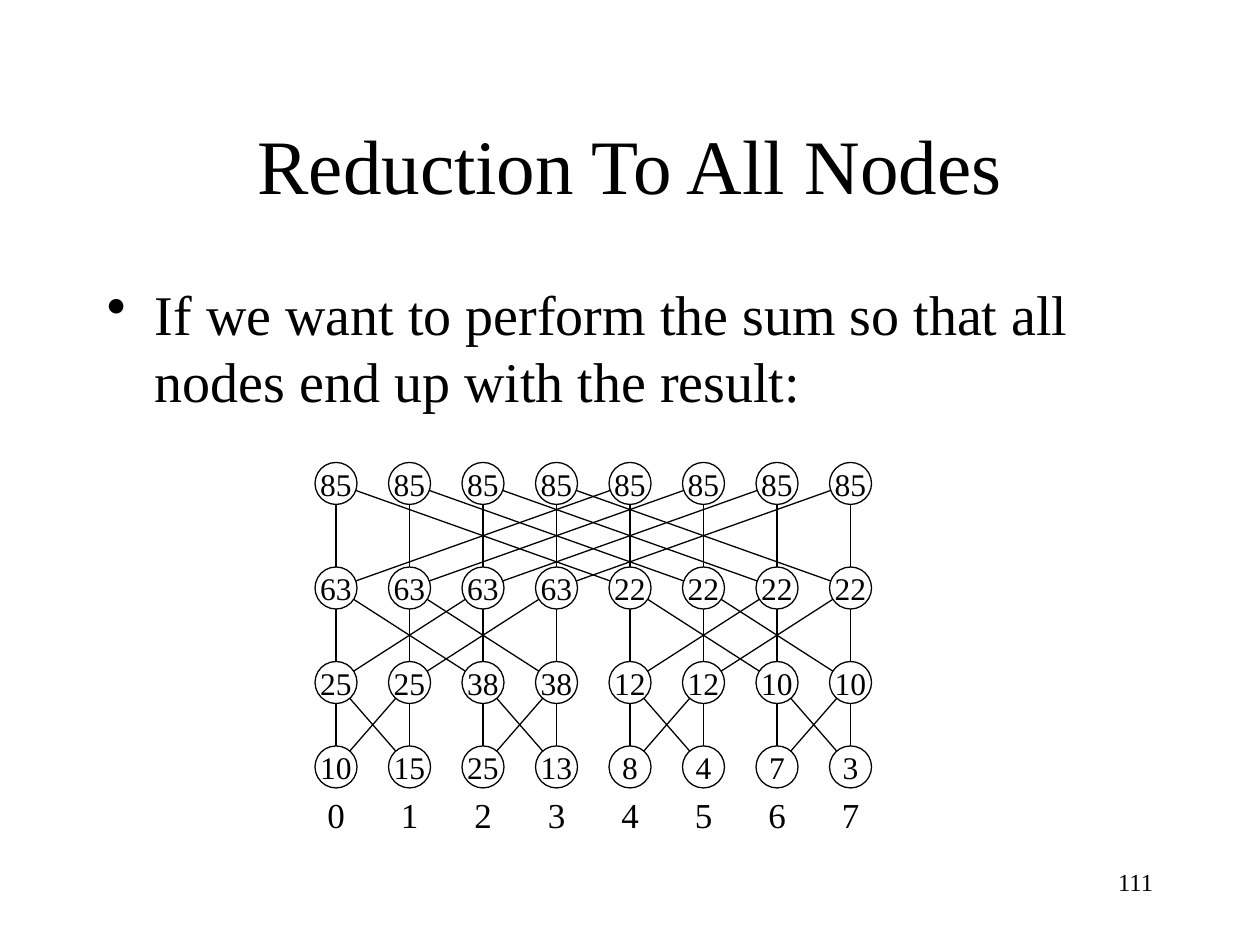
from dataclasses import dataclass

from lxml import etree
from pptx import Presentation, util as u
from pptx.dml.color import RGBColor
from pptx.enum import shapes, text
from pptx.oxml import ns


@dataclass(frozen=True)
class Theme:
    font: str = "Times New Roman"
    ink: RGBColor = RGBColor(0, 0, 0)
    paper: RGBColor = RGBColor(255, 255, 255)
    line: u.Pt = u.Pt(0.75)
    title: u.Pt = u.Pt(44)
    body: u.Pt = u.Pt(32)
    label: u.Pt = u.Pt(20)
    node: u.Pt = u.Pt(18)
    number: u.Pt = u.Pt(14)


@dataclass(frozen=True)
class Stage:
    y: float
    values: tuple[int, ...]
    stride: int = 0


THEME = Theme()
LEFT, PITCH, SIZE = 2.5, 7 / 12, 1 / 3
LABEL_TOP = 6.25
STAGES = [
    Stage(3.67, (85,) * 8, 4),
    Stage(4.5, (63,) * 4 + (22,) * 4, 2),
    Stage(5.25, (25, 25, 38, 38, 12, 12, 10, 10), 1),
    Stage(5.92, (10, 15, 25, 13, 8, 4, 7, 3)),
]


def write(sp, content: str, size: u.Pt, align=text.PP_ALIGN.LEFT,
          anchor=text.MSO_ANCHOR.TOP, wrap: bool = True):
    tf = sp.text_frame
    tf.text = content
    tf.word_wrap = wrap
    tf.vertical_anchor = anchor
    p = tf.paragraphs[0]
    p.alignment = align
    font = p.runs[0].font
    font.name, font.size = THEME.font, size
    font.color.rgb = THEME.ink
    return p


def add_text(s, x: float, y: float, w: float, h: float, content: str, size: u.Pt, **style):
    sp = s.shapes.add_textbox(u.Inches(x), u.Inches(y), u.Inches(w), u.Inches(h))
    return write(sp, content, size, **style)


def add_bullet(p) -> None:
    pPr = p._p.get_or_add_pPr()
    pPr.set("marL", str(u.Inches(0.38)))
    pPr.set("indent", str(u.Inches(-0.38)))
    before = etree.SubElement(pPr, ns.qn("a:spcBef"))
    etree.SubElement(before, ns.qn("a:spcPct")).set("val", "20000")
    etree.SubElement(pPr, ns.qn("a:buChar")).set("char", "•")


def add_edge(s, top: Stage, i: int, bottom: Stage, j: int) -> None:
    ends = [u.Inches(v + SIZE / 2) for v in
            (LEFT + i * PITCH, top.y, LEFT + j * PITCH, bottom.y)]
    edge = s.shapes.add_connector(shapes.MSO_CONNECTOR.STRAIGHT, *ends)
    edge.line.color.rgb = THEME.ink
    edge.line.width = THEME.line
    etree.SubElement(edge._element.spPr, ns.qn("a:effectLst"))


def add_node(s, stage: Stage, i: int) -> None:
    sp = s.shapes.add_shape(shapes.MSO_SHAPE.OVAL, u.Inches(LEFT + i * PITCH),
                            u.Inches(stage.y), u.Inches(SIZE), u.Inches(SIZE))
    sp.shadow.inherit = False
    sp.fill.solid()
    sp.fill.fore_color.rgb = THEME.paper
    sp.line.color.rgb = THEME.ink
    sp.line.width = THEME.line
    write(sp, str(stage.values[i]), THEME.node, align=text.PP_ALIGN.CENTER,
          anchor=text.MSO_ANCHOR.MIDDLE, wrap=False)


def add_butterfly(s) -> None:
    for top, bottom in zip(STAGES, STAGES[1:]):
        for i in range(len(top.values)):
            add_edge(s, top, i, bottom, i)
            add_edge(s, top, i, bottom, i ^ top.stride)
    for stage in STAGES:
        for i in range(len(stage.values)):
            add_node(s, stage, i)
    for i in range(len(STAGES[0].values)):
        add_text(s, LEFT + i * PITCH, LABEL_TOP, 0.34, 0.43, str(i), THEME.label, wrap=False)


def main() -> None:
    prs = Presentation()
    prs.slide_width, prs.slide_height = u.Inches(10), u.Inches(7.5)
    s = prs.slides.add_slide(prs.slide_layouts[6])
    add_text(s, 7.17, 6.83, 2.08, 0.5, "111", THEME.number, align=text.PP_ALIGN.RIGHT)
    add_text(s, 0.75, 0.67, 8.5, 1.25, "Reduction To All Nodes", THEME.title,
             align=text.PP_ALIGN.CENTER, anchor=text.MSO_ANCHOR.MIDDLE)
    add_bullet(add_text(s, 0.75, 2.17, 8.5, 1.25,
                        "If we want to perform the sum so that all nodes end up with the result:",
                        THEME.body))
    add_butterfly(s)
    prs.save("out.pptx")


if __name__ == "__main__":
    main()
